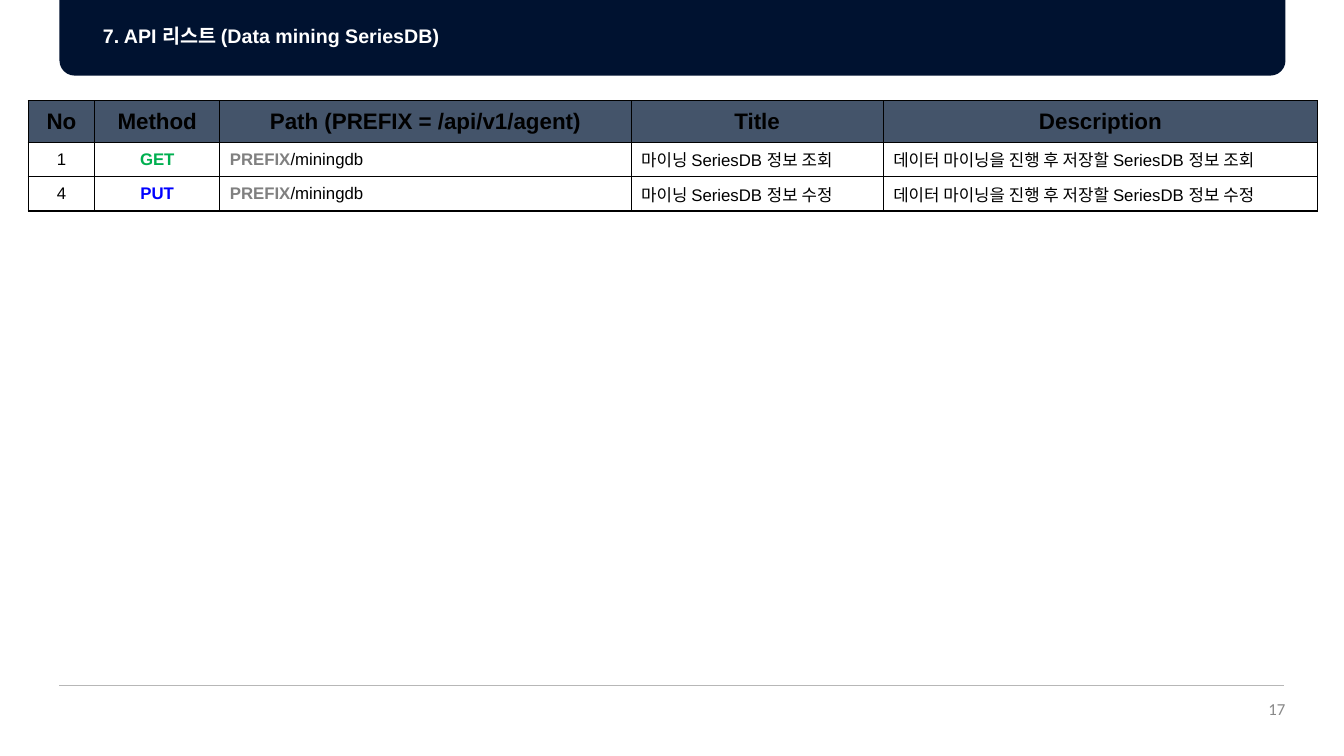
from lxml.etree import SubElement
from pptx import Presentation
from pptx.dml.color import RGBColor
from pptx.enum.shapes import MSO_CONNECTOR as Link, MSO_SHAPE as Shape
from pptx.enum.text import MSO_ANCHOR as Anchor, MSO_AUTO_SIZE as Fit, PP_ALIGN as Align
from pptx.oxml.ns import qn
from pptx.util import Inches, Pt

NAVY, SLATE, RULE, GRAY = "001230", "44546A", "B7B7B7", "888888"
BLACK, WHITE, GREEN, BLUE, DIM = "000000", "FFFFFF", "00B050", "0000FF", "808080"

HEADS = ["No", "Method", "Path (PREFIX = /api/v1/agent)", "Title", "Description"]
CALLS = [
    ("1", "GET", GREEN, "조회"),
    ("4", "PUT", BLUE, "수정"),
]
WIDTHS = [0.66, 1.24, 4.08, 2.5, 4.31]
HEIGHTS = [0.41, 0.34, 0.34]


def paint(color):
    return RGBColor.from_string(color)


def write(para, text, size=12, color=BLACK, bold=False, font="Arial", align=None):
    """Add a run to the paragraph and format it."""
    run = para.add_run()
    run.text = text
    run.font.size = Pt(size)
    run.font.name = font
    run.font.bold = bold
    run.font.color.rgb = paint(color)
    if align is not None:
        para.alignment = align


def border(cell, color=BLACK, width=1):
    props = cell._tc.get_or_add_tcPr()
    for side in ("lnL", "lnR", "lnT", "lnB"):
        line = SubElement(props, qn(f"a:{side}"), w=str(Pt(width)))
        fill = SubElement(line, qn("a:solidFill"))
        SubElement(fill, qn("a:srgbClr"), val=color)


class Page:
    """Holds the current slide and draws its elements."""

    def __init__(self, deck):
        self.slide = deck.slides.add_slide(deck.slide_layouts[5])
        self.shapes = self.slide.shapes

    def banner(self, left, top, width, height):
        box = self.shapes.add_shape(
            Shape.ROUND_2_SAME_RECTANGLE, *map(Inches, (left, top, width, height)))
        box.adjustments[0], box.adjustments[1] = 0, 0.2
        box.shadow.inherit = False
        box.fill.solid()
        box.fill.fore_color.rgb = paint(NAVY)
        box.line.fill.background()

    def title(self, text, left, top, width, height):
        head = self.shapes.title
        head.left, head.top, head.width, head.height = map(
            Inches, (left, top, width, height))
        self.shapes._spTree.append(head._element)  # bring in front of the banner
        frame = head.text_frame
        frame.auto_size = Fit.NONE
        frame.word_wrap = True
        frame.vertical_anchor = Anchor.MIDDLE
        para = frame.paragraphs[0]
        para.line_spacing = 0.9
        write(para, text, size=14, color=WHITE, bold=True, align=Align.LEFT)

    def rule(self, left, right, top):
        line = self.shapes.add_connector(
            Link.STRAIGHT, *map(Inches, (left, top, right, top)))
        line.line.color.rgb = paint(RULE)
        line.line.width = Pt(0.75)
        SubElement(line._element.spPr, qn("a:effectLst"))

    def number(self, text, left, top, width, height):
        frame = self.shapes.add_textbox(
            *map(Inches, (left, top, width, height))).text_frame
        frame.word_wrap = True
        frame.margin_left = frame.margin_right = frame.margin_bottom = 0
        frame.margin_top = Inches(0.01)
        write(frame.paragraphs[0], text, color=GRAY, font="Calibri", align=Align.RIGHT)

    def table(self, left, top):
        grid = self.shapes.add_table(
            len(HEIGHTS), len(WIDTHS), *map(
                Inches, (left, top, sum(WIDTHS), sum(HEIGHTS)))).table
        grid.first_row = grid.horz_banding = False
        for col, width in zip(grid.columns, WIDTHS):
            col.width = Inches(width)
        for row, height in zip(grid.rows, HEIGHTS):
            row.height = Inches(height)
        for col, text in enumerate(HEADS):
            para = self.cell(grid, 0, col, SLATE)
            write(para, text, size=16, bold=True, align=Align.CENTER)
        for row, (no, verb, color, act) in enumerate(CALLS, 1):
            paras = [self.cell(grid, row, col) for col in range(len(HEADS))]
            write(paras[0], no, align=Align.CENTER)
            write(paras[1], verb, color=color, bold=True, align=Align.CENTER)
            write(paras[2], "PREFIX", color=DIM, bold=True)
            write(paras[2], "/miningdb")
            write(paras[3], f"마이닝 SeriesDB 정보 {act}")
            write(paras[4], f"데이터 마이닝을 진행 후 저장할 SeriesDB 정보 {act}")

    def cell(self, grid, row, col, fill=None):
        """Style a table cell and return its paragraph."""
        cell = grid.cell(row, col)
        cell.vertical_anchor = Anchor.MIDDLE
        border(cell)
        if fill:
            cell.fill.solid()
            cell.fill.fore_color.rgb = paint(fill)
        else:
            cell.fill.background()
        return cell.text_frame.paragraphs[0]


def main():
    deck = Presentation()
    deck.slide_width, deck.slide_height = Inches(13.33), Inches(7.5)
    page = Page(deck)
    page.banner(0.59, 0, 12.16, 0.75)
    page.number("17", 11.85, 6.92, 0.9, 0.22)
    page.rule(0.59, 12.74, 6.8)
    page.title("7. API 리스트 (Data mining SeriesDB)", 0.92, 0, 11.5, 0.74)
    page.table(0.28, 1)
    deck.save("out.pptx")


if __name__ == "__main__":
    main()
